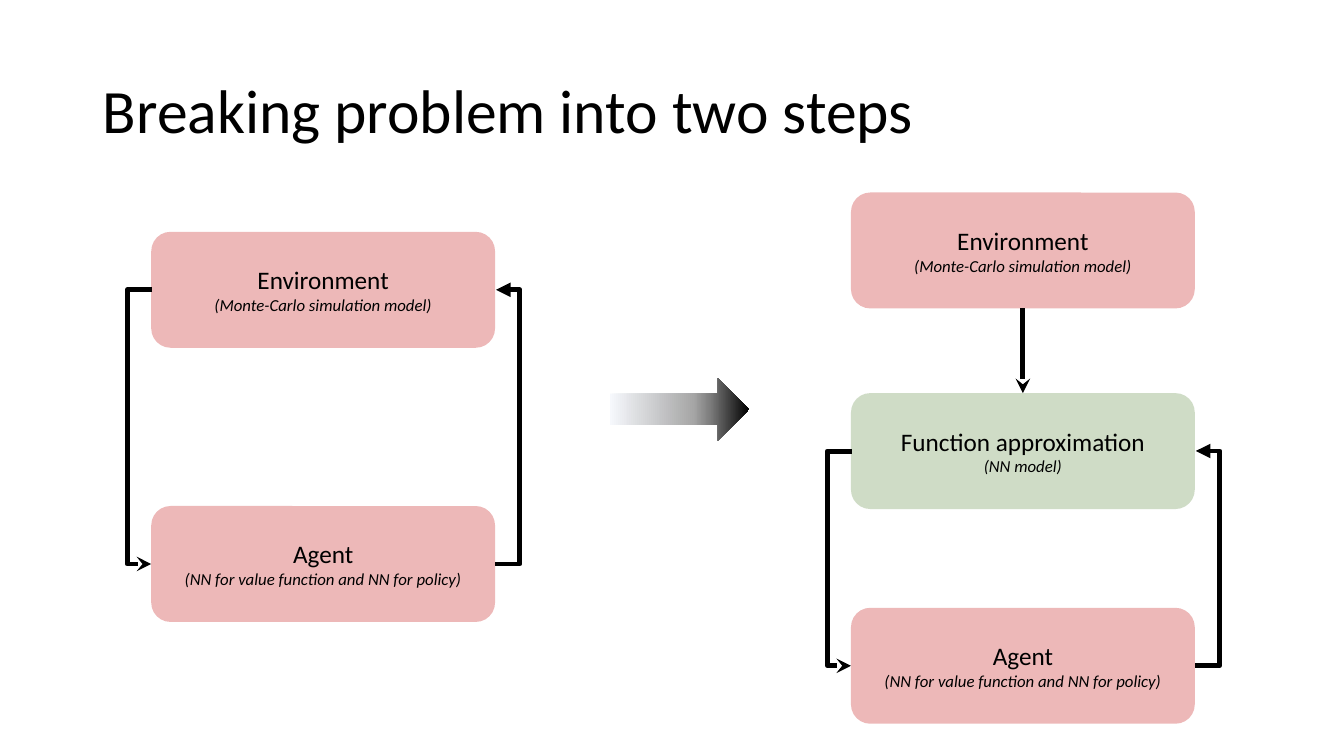
import pptx
import pptx.dml.color
import pptx.enum.dml
import pptx.enum.shapes
import pptx.enum.text
import pptx.oxml
import pptx.oxml.ns
import pptx.util
from pptx.util import Inches

RGBColor = pptx.dml.color.RGBColor
MSO_SHAPE = pptx.enum.shapes.MSO_SHAPE
MSO_CONNECTOR = pptx.enum.shapes.MSO_CONNECTOR
PP_ALIGN = pptx.enum.text.PP_ALIGN
MSO_ANCHOR = pptx.enum.text.MSO_ANCHOR
qn = pptx.oxml.ns.qn

BLACK = RGBColor(0x00, 0x00, 0x00)
RED = RGBColor(0xC0, 0x00, 0x00)
GREEN = RGBColor(0x54, 0x82, 0x35)
FADE = [
    (0, RGBColor(0xF6, 0xF8, 0xFC)),
    (60, RGBColor(0xA6, 0xA6, 0xA6)),
    (71, RGBColor(0x80, 0x80, 0x80)),
    (100, BLACK),
]

BOX_W, BOX_H = 3.41, 1.15
LOOP_REACH = 0.25  # how far a loop arrow stands out from the boxes
LOOP_STEP = 0.01  # horizontal distance between the ends of a loop arrow

ENVIRONMENT = ("Environment", "(Monte-Carlo simulation model)", RED)
APPROXIMATION = ("Function approximation", "(NN model)", GREEN)
AGENT = ("Agent", "(NN for value function and NN for policy)", RED)


def add_xml(parent, tag, **attributes):
    """Append a DrawingML element and return it."""
    child = pptx.oxml.parse_xml(
        f'<a:{tag} {pptx.oxml.ns.nsdecls("a")}/>')
    for name, value in attributes.items():
        child.set(name, str(value))
    parent.append(child)
    return child


def format_font(font, **values):
    values = {"name": "Calibri", **values}
    for name, value in values.items():
        setattr(font, name, value)
    font.color.rgb = BLACK


def add_title(s, text):
    title = s.shapes.title
    title.left, title.top = Inches(0.92), Inches(0.4)
    title.width, title.height = Inches(11.5), Inches(1.45)
    tf = title.text_frame
    tf.text = text
    tf.auto_size = pptx.enum.text.MSO_AUTO_SIZE.NONE
    tf.vertical_anchor = MSO_ANCHOR.MIDDLE
    p = tf.paragraphs[0]
    p.alignment = PP_ALIGN.LEFT
    p.line_spacing = 0.9
    format_font(p.runs[0].font, size=pptx.util.Pt(44))


def add_box(shapes, left, top, content):
    name, detail, color = content
    sp = shapes.add_shape(MSO_SHAPE.ROUNDED_RECTANGLE, Inches(left),
                          Inches(top), Inches(BOX_W), Inches(BOX_H))
    sp.shadow.inherit = False
    sp.line.fill.background()
    sp.fill.solid()
    sp.fill.fore_color.rgb = color
    rgb = sp._element.spPr.find(qn("a:solidFill")).find(qn("a:srgbClr"))
    add_xml(rgb, "alpha", val=28000)

    tf = sp.text_frame
    tf.word_wrap = True
    tf.vertical_anchor = MSO_ANCHOR.MIDDLE
    lines = [(name, 18, False), (detail, 12, True)]
    for i, (text, size, italic) in enumerate(lines):
        p = tf.add_paragraph() if i else tf.paragraphs[0]
        p.alignment = PP_ALIGN.CENTER
        r = p.add_run()
        r.text = text
        format_font(r.font, size=pptx.util.Pt(size), italic=italic)


def add_arrow(shapes, kind, start, end, head):
    arrow = shapes.add_connector(kind, *map(Inches, start + end))
    arrow.line.color.rgb = BLACK
    arrow.line.width = pptx.util.Pt(3.5)
    add_xml(arrow.line._get_or_add_ln(), "tailEnd", type=head)
    add_xml(arrow._element.spPr, "effectLst")
    return arrow


def add_loop_arrow(shapes, x, upper, lower, head, turn=0):
    """Draw an elbow around one side of two boxes; a half turn mirrors it."""
    arrow = add_arrow(shapes, MSO_CONNECTOR.ELBOW, (x, lower),
                      (x + LOOP_STEP, upper), head)
    spPr = arrow._element.spPr
    spPr.find(qn("a:xfrm")).set("rot", str(turn * 60000))
    guides = spPr.find(qn("a:prstGeom")).find(qn("a:avLst"))
    adjust = round(LOOP_REACH / LOOP_STEP * 100000)
    add_xml(guides, "gd", name="adj1", fmla=f"val {adjust}")


def add_loop(shapes, left, upper_top, upper, lower_top, lower):
    """Draw two boxes that feed each other."""
    add_box(shapes, left, upper_top, upper)
    add_box(shapes, left, lower_top, lower)
    middles = upper_top + BOX_H / 2, lower_top + BOX_H / 2
    add_loop_arrow(shapes, left, *middles, "stealth", turn=180)
    add_loop_arrow(shapes, left + BOX_W, *middles, "triangle")


def add_step_arrow(s):
    sp = s.shapes.add_shape(MSO_SHAPE.RIGHT_ARROW, Inches(6.05),
                            Inches(3.75), Inches(1.38), Inches(0.62))
    sp.shadow.inherit = False
    sp.line.fill.background()
    sp.fill.gradient()
    sp.fill.gradient_angle = 0
    stops = sp._element.spPr.find(qn("a:gradFill")).find(qn("a:gsLst"))
    for stop in list(stops):
        stops.remove(stop)
    for position, color in FADE:
        stop = add_xml(stops, "gs", pos=position * 1000)
        add_xml(stop, "srgbClr", val=color)


def main():
    prs = pptx.Presentation()
    prs.slide_width, prs.slide_height = Inches(13.33), Inches(7.5)
    s = prs.slides.add_slide(prs.slide_layouts.get_by_name("Title Only"))
    add_title(s, "Breaking problem into two steps")

    direct = s.shapes.add_group_shape().shapes
    add_loop(direct, 1.5, 2.3, ENVIRONMENT, 5.02, AGENT)

    left, top, model_top = 8.44, 1.91, 3.9
    split = s.shapes.add_group_shape().shapes
    add_loop(split, left, model_top, APPROXIMATION, 6.03, AGENT)
    add_box(split, left, top, ENVIRONMENT)
    center = left + BOX_W / 2
    add_arrow(split, MSO_CONNECTOR.STRAIGHT, (center, top + BOX_H),
              (center, model_top), "stealth")

    add_step_arrow(s)
    prs.save("out.pptx")


if __name__ == "__main__":
    main()
